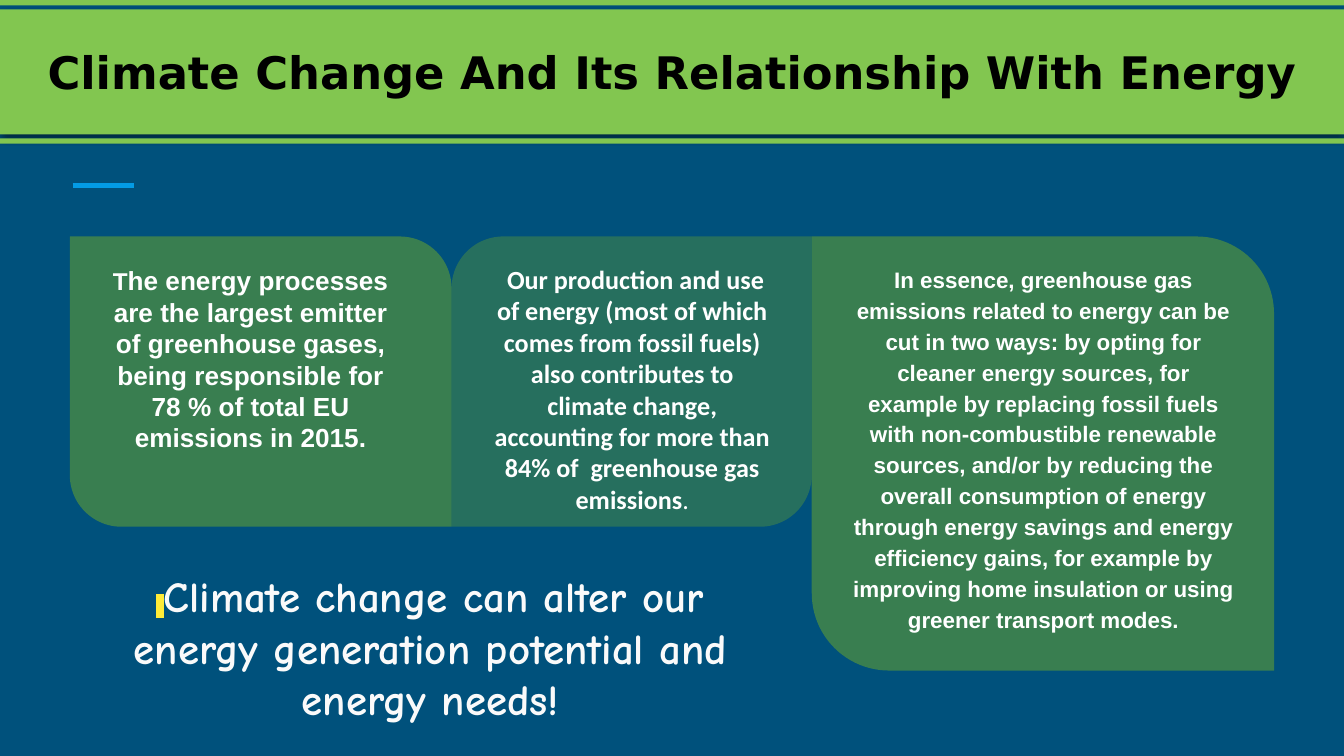
"""Build the slide on climate change and its relationship with energy."""
from lxml.etree import SubElement
from pptx import Presentation
from pptx.dml.color import RGBColor
from pptx.enum.shapes import MSO_CONNECTOR as Connector, MSO_SHAPE as Shape
from pptx.enum.text import MSO_ANCHOR as Anchor, MSO_AUTO_SIZE as AutoSize, PP_ALIGN as Align
from pptx.oxml.ns import qn
from pptx.util import Inches, Pt

THEME = {
    "background": "00517C", "accent": "039BE5", "band": "82C650", "card": "609D33",
    "text": "FFFFFF", "message": "FAFAFA", "title": "000000", "shadow": "000000",
    "marker": "FFEB38", "marked": "0C0C0C", "title_size": 24, "message_size": 23,
    "marker_size": 11, "card_size": 14, "small_size": 13, "long_size": 12,
    "title_font": "DejaVu Sans", "message_font": "Comic Neue",
    "card_font": "Arial", "alternate_font": "Calibri",
}
TITLE = "Climate Change And Its Relationship With Energy"
TITLE_BOX = (0, 0.23, 10, 0.61)
BANDS = [(0.07, 0.93, True), (0, 0.04, False), (1.03, 0.04, False)]
CARDS = [
    {"width": 2.84, "height": 2.16, "opacity": 60, "corners": (0, 0.178),
     "text_box": (0.72, 1.87, 2.29, 2.05), "spacing": 1,
     "runs": [("T", "small_size", "card_font", True),
              ("he energy processes are the largest emitter of greenhouse gases, being "
               "responsible for 78 % of total EU emissions in 2015.",
               "card_size", "card_font", True)]},
    {"width": 2.68, "height": 2.16, "opacity": 40, "corners": (0.178, 0),
     "text_box": (3.57, 1.86, 2.27, 2.11), "spacing": 1,
     "runs": [(" ", "small_size", "card_font", False),
              ("Our production and use of energy (most of which comes from fossil fuels) "
               "also contributes to climate change, accounting for more than 84% of  "
               "greenhouse gas emissions", "card_size", "alternate_font", True),
              (".", "card_size", "alternate_font", False)]},
    {"width": 3.44, "height": 3.23, "opacity": 60, "corners": (0, 0.178),
     "text_box": (6.23, 1.85, 3.07, 2.8), "spacing": 1.15,
     "runs": [("In essence, greenhouse gas emissions related to energy can be cut in two "
               "ways: by opting for cleaner energy sources, for example by replacing fossil "
               "fuels with non-combustible renewable sources, and/or by reducing the overall "
               "consumption of energy through energy savings and energy efficiency gains, "
               "for example by improving home insulation or using greener transport modes.",
               "long_size", "card_font", True)]},
]
CARDS_LEFT, CARDS_TOP = 0.52, 1.76
MESSAGE_BOX = (0.71, 4.14, 4.99, 0.98)
MESSAGE = "Climate change can alter our energy generation potential and energy needs!"


def color(name):
    return RGBColor.from_string(THEME[name])


def add_panel(slide, kind, box, fill):
    shape = slide.shapes.add_shape(kind, *map(Inches, box))
    shape.shadow.inherit = False
    shape.fill.solid()
    shape.fill.fore_color.rgb = color(fill)
    shape.line.fill.background()
    return shape


def set_opacity(shape, percent):
    fill_color = shape.element.spPr.find(qn("a:solidFill"))[0]
    SubElement(fill_color, qn("a:alpha"), val=str(percent * 1000))


def add_band_shadow(shape):
    effects = shape.element.spPr.find(qn("a:effectLst"))
    shadow = SubElement(effects, qn("a:outerShdw"), blurRad=str(Pt(4.5)),
                        dist=str(Pt(1.5)), dir="5400000", rotWithShape="0")
    shade = SubElement(shadow, qn("a:srgbClr"), val=THEME["shadow"])
    SubElement(shade, qn("a:alpha"), val="50000")


def prepare_text(shape, spacing=1):
    frame = shape.text_frame
    frame.word_wrap = True
    frame.auto_size = AutoSize.NONE
    frame.vertical_anchor = Anchor.TOP
    frame.margin_left = frame.margin_right = Inches(0.1)
    frame.margin_top = frame.margin_bottom = Inches(0.1)
    paragraph = frame.paragraphs[0]
    paragraph.alignment = Align.CENTER
    paragraph.line_spacing = spacing
    return paragraph


def add_run(paragraph, text, size, font, bold, ink, highlight=None):
    run = paragraph.add_run()
    run.text = text
    run.font.size = Pt(THEME[size])
    run.font.bold = bold
    run.font.color.rgb = color(ink)
    if highlight:
        marker = SubElement(run._r.get_or_add_rPr(), qn("a:highlight"))
        SubElement(marker, qn("a:srgbClr"), val=THEME[highlight])
    run.font.name = THEME[font]


def add_accent(slide):
    line = slide.shapes.add_connector(
        Connector.STRAIGHT, Inches(0.54), Inches(1.38), Inches(1), Inches(1.38))
    line.line.color.rgb = color("accent")
    line.line.width = Pt(3)
    SubElement(line.element.spPr, qn("a:effectLst"))


def add_cards(slide):
    left = CARDS_LEFT
    for card in CARDS:
        box = (left, CARDS_TOP, card["width"], card["height"])
        panel = add_panel(slide, Shape.ROUND_2_DIAG_RECTANGLE, box, "card")
        panel.adjustments[0], panel.adjustments[1] = card["corners"]
        set_opacity(panel, card["opacity"])
        text_box = slide.shapes.add_textbox(*map(Inches, card["text_box"]))
        paragraph = prepare_text(text_box, card["spacing"])
        for text, size, font, bold in card["runs"]:
            add_run(paragraph, text, size, font, bold, "text")
        left += card["width"]


def add_message(slide):
    paragraph = prepare_text(slide.shapes.add_textbox(*map(Inches, MESSAGE_BOX)))
    add_run(paragraph, " ", "marker_size", "message_font", True, "marked", "marker")
    add_run(paragraph, MESSAGE, "message_size", "message_font", True, "message")


def add_header(slide):
    for top, height, shadowed in BANDS:
        band = add_panel(slide, Shape.RECTANGLE, (0, top, 10, height), "band")
        if shadowed:
            add_band_shadow(band)
    title = slide.shapes.title
    title.left, title.top, title.width, title.height = map(Inches, TITLE_BOX)
    add_run(prepare_text(title), TITLE, "title_size", "title_font", True, "title")
    slide.shapes.element.append(title.element)


def main():
    presentation = Presentation()
    presentation.slide_width = Inches(10)
    presentation.slide_height = Inches(10) * 9 // 16
    slide = presentation.slides.add_slide(presentation.slide_layouts[5])
    slide.background.fill.solid()
    slide.background.fill.fore_color.rgb = color("background")
    add_accent(slide)
    add_cards(slide)
    add_message(slide)
    add_header(slide)
    presentation.save("out.pptx")


if __name__ == "__main__":
    main()
